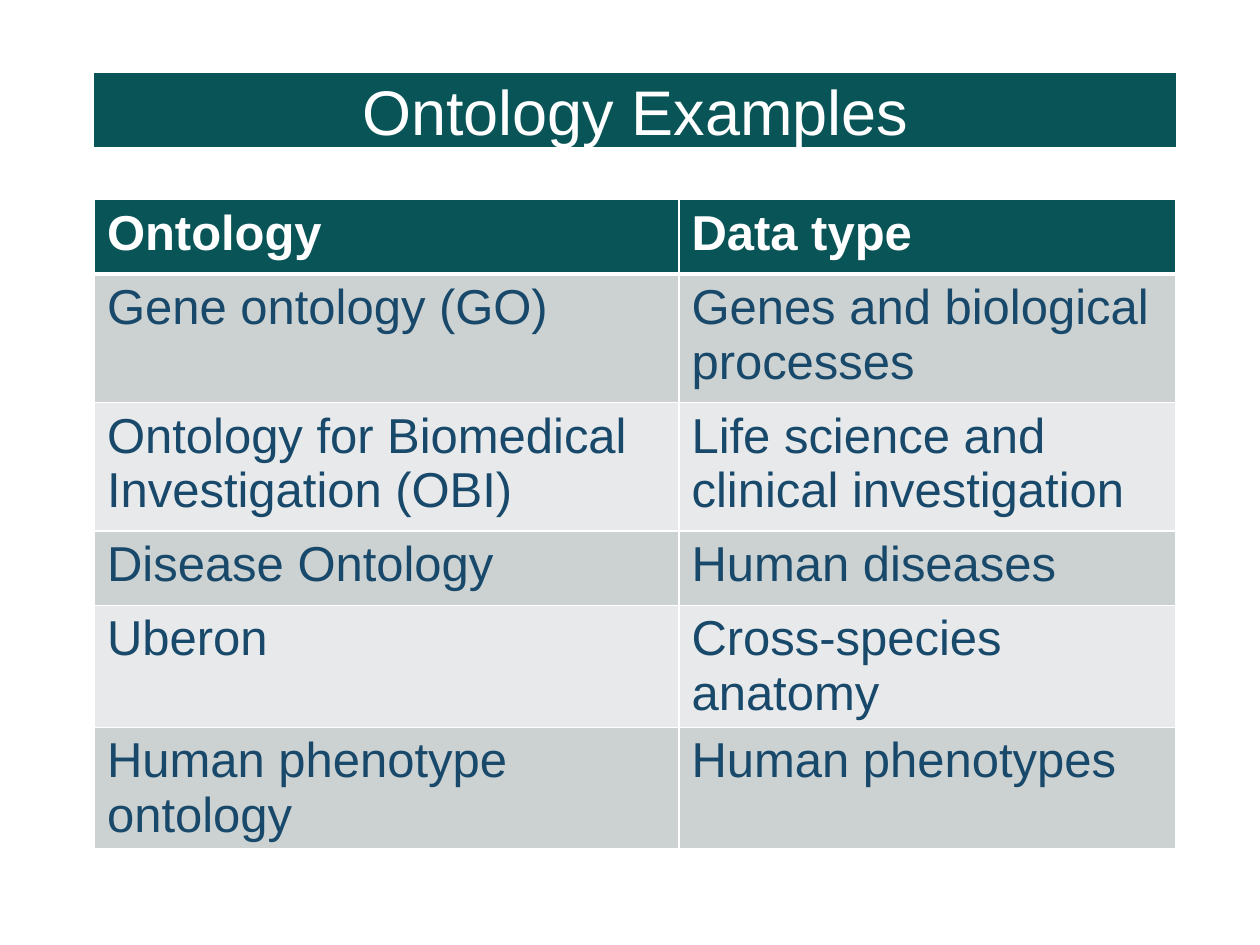
"""Build the Ontology Examples slide with a banner and a two-column table."""
from dataclasses import dataclass

from lxml import etree
from pptx import Presentation
from pptx.dml.color import RGBColor
from pptx.enum.shapes import MSO_SHAPE
from pptx.enum.text import MSO_ANCHOR, PP_ALIGN
from pptx.oxml.ns import qn
from pptx.util import Pt

RECTANGLE = MSO_SHAPE.RECTANGLE
MIDDLE = MSO_ANCHOR.MIDDLE
CENTER = PP_ALIGN.CENTER

TEAL = RGBColor(0x09, 0x54, 0x57)
WHITE = RGBColor(0xFF, 0xFF, 0xFF)
NAVY = RGBColor(0x18, 0x49, 0x6B)
DARK_BAND = RGBColor(0xCC, 0xD1, 0xD1)
LIGHT_BAND = RGBColor(0xE7, 0xE9, 0xEA)

LEFT = Pt(54)
WIDTH = Pt(618)
COLUMN_WIDTHS = (Pt(334), Pt(284))
THIN = Pt(1)
THICK = Pt(3)

TITLE_FORMAT = {"name": "Arial", "size": Pt(36), "bold": False}
HEADER_FORMAT = {"name": "Arial", "size": Pt(28), "bold": True}
BODY_FORMAT = {**HEADER_FORMAT, "bold": False}


@dataclass(frozen=True)
class OntologyRow:
    """Texts and height of one table row."""

    ontology: str
    data_type: str
    height: Pt


ROWS = (
    OntologyRow("Ontology", "Data type", Pt(42.5)),
    OntologyRow("Gene ontology (GO)", "Genes and biological processes", Pt(73.5)),
    OntologyRow(
        "Ontology for Biomedical Investigation (OBI)",
        "Life science and clinical investigation",
        Pt(73.5),
    ),
    OntologyRow("Disease Ontology", "Human diseases", Pt(42.5)),
    OntologyRow("Uberon", "Cross-species anatomy", Pt(39)),
    OntologyRow("Human phenotype ontology", "Human phenotypes", Pt(46)),
)


def write_text(text_frame, text: str, font_format: dict, color: RGBColor):
    """Write one formatted paragraph and return it."""
    paragraph = text_frame.paragraphs[0]
    run = paragraph.add_run()
    run.text = text
    for attribute, value in font_format.items():
        setattr(run.font, attribute, value)
    run.font.color.rgb = color
    return paragraph


def add_banner(slide, text: str) -> None:
    """Add the filled title banner."""
    shape = slide.shapes.add_shape(RECTANGLE, LEFT, Pt(42), WIDTH, Pt(42))
    shape.shadow.inherit = False
    shape.fill.solid()
    shape.fill.fore_color.rgb = TEAL
    shape.line.color.rgb = TEAL
    shape.line.width = Pt(0.5)
    shape.text_frame.word_wrap = True
    shape.text_frame.vertical_anchor = MIDDLE
    write_text(shape.text_frame, text, TITLE_FORMAT, WHITE).alignment = CENTER


def set_borders(cell, top: Pt, bottom: Pt) -> None:
    """Draw white borders around a cell."""
    properties = cell._tc.get_or_add_tcPr()
    widths = {"lnL": THIN, "lnR": THIN, "lnT": top, "lnB": bottom}
    for side, width in widths.items():
        line = etree.SubElement(properties, qn(f"a:{side}"), w=str(int(width)))
        fill = etree.SubElement(line, qn("a:solidFill"))
        etree.SubElement(fill, qn("a:srgbClr"), val=str(WHITE))


def add_ontology_table(slide, rows: tuple[OntologyRow, ...]) -> None:
    """Add the table with a header and alternating bands."""
    height = sum(row.height for row in rows)
    table = slide.shapes.add_table(
        len(rows), len(COLUMN_WIDTHS), LEFT, Pt(114), WIDTH, height
    ).table
    for column, width in zip(table.columns, COLUMN_WIDTHS):
        column.width = width
    for index, row in enumerate(rows):
        table.rows[index].height = row.height
        is_header = index == 0
        band = DARK_BAND if index % 2 else LIGHT_BAND
        for column_index, text in enumerate((row.ontology, row.data_type)):
            cell = table.cell(index, column_index)
            set_borders(
                cell,
                top=THICK if index == 1 else THIN,
                bottom=THICK if is_header else THIN,
            )
            cell.fill.solid()
            cell.fill.fore_color.rgb = TEAL if is_header else band
            write_text(
                cell.text_frame,
                text,
                HEADER_FORMAT if is_header else BODY_FORMAT,
                WHITE if is_header else NAVY,
            )


def main() -> None:
    """Build and save the presentation."""
    presentation = Presentation()
    presentation.slide_width = Pt(720)
    presentation.slide_height = Pt(540)
    slide = presentation.slides.add_slide(presentation.slide_layouts[6])
    add_banner(slide, "Ontology Examples")
    add_ontology_table(slide, ROWS)
    presentation.save("out.pptx")


if __name__ == "__main__":
    main()
